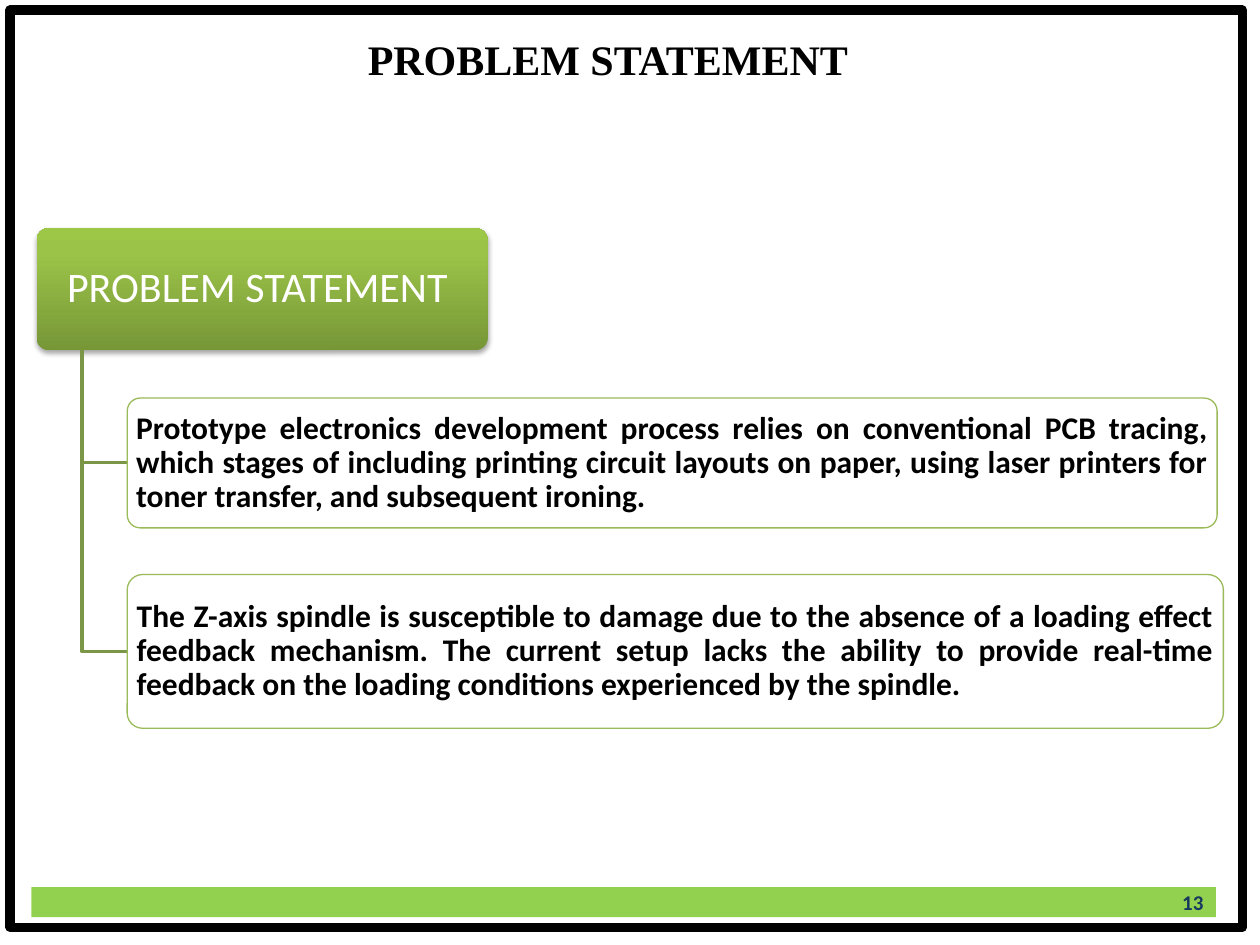
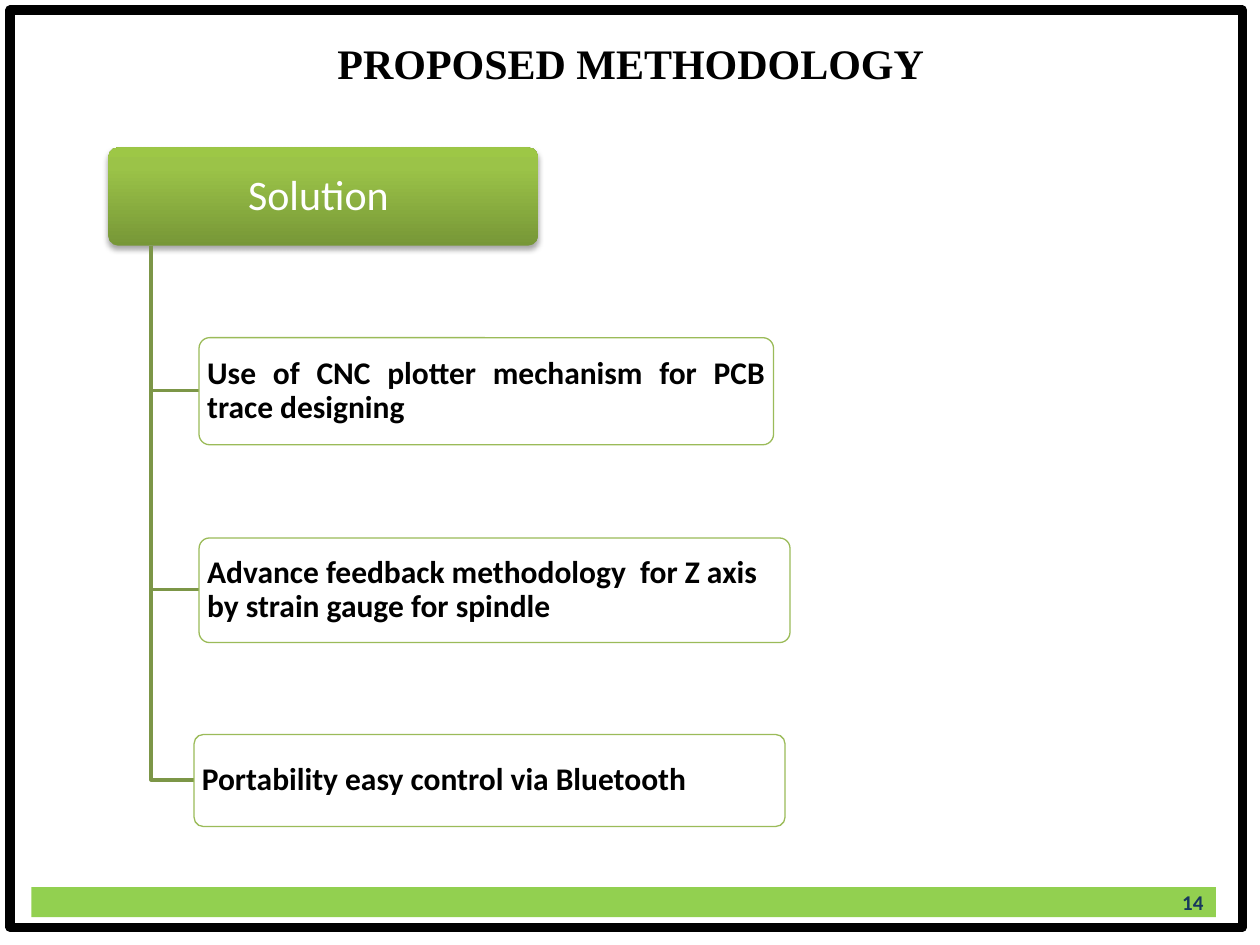
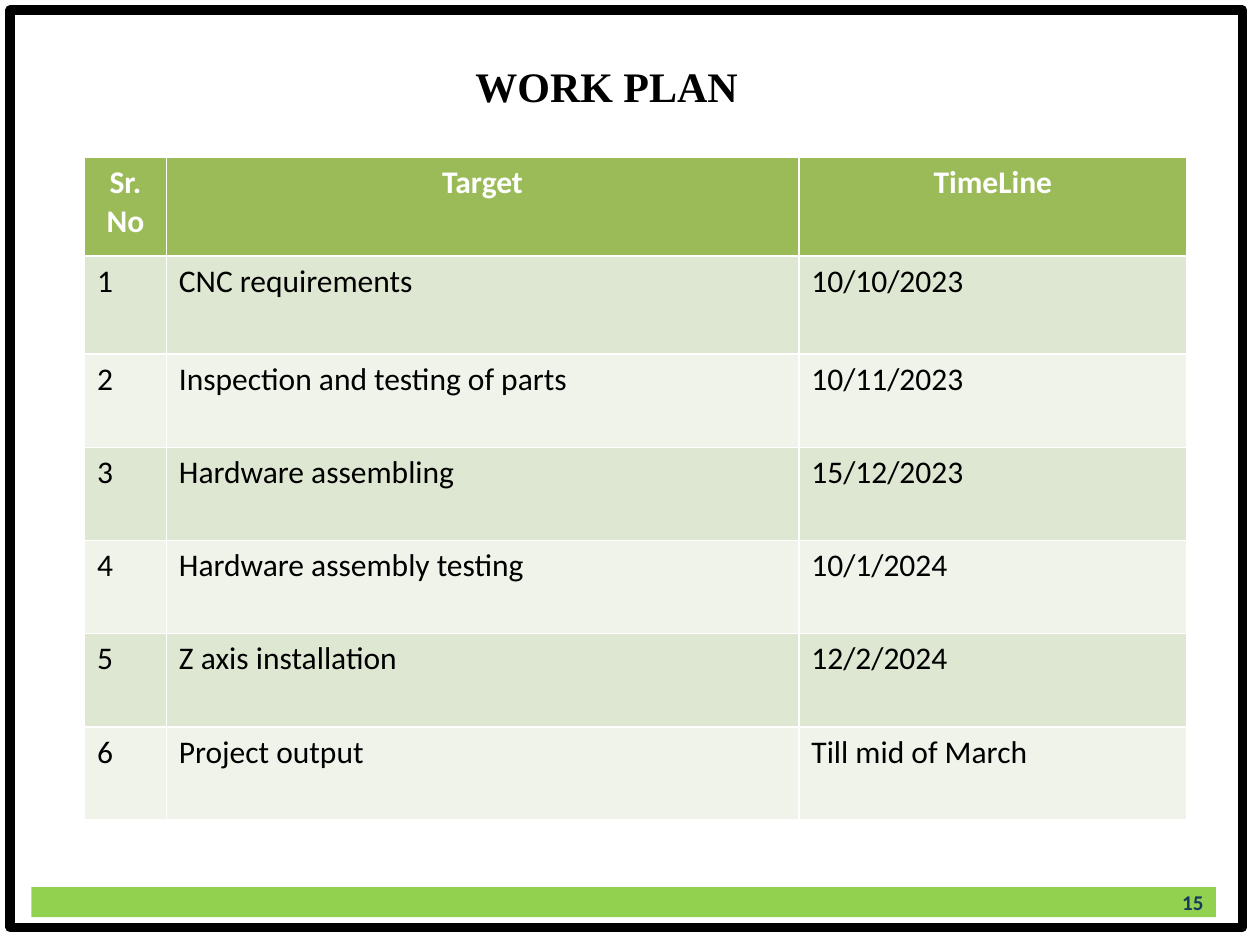
"""Build three project slides: problem statement, methodology and work plan."""
from copy import deepcopy
from dataclasses import dataclass

from lxml.etree import SubElement
from pptx import Presentation
from pptx.dml.color import RGBColor
from pptx.enum.shapes import MSO_SHAPE as Preset
from pptx.enum.text import MSO_ANCHOR as Anchor, PP_ALIGN as Align
from pptx.oxml.ns import qn
from pptx.util import Pt

EMU_PER_PX = 9144
FIRST_PAGE = 13


@dataclass(frozen=True)
class Theme:
    """Colours, fonts and type sizes of the slides."""
    black: str = "000000"
    white: str = "FFFFFF"
    band: str = "92D050"
    page_number: str = "17375E"
    accent: str = "9BBB59"
    branch: str = "7C9647"
    header_stops: tuple = ((0, "779737"), (0.8, "9BC348"), (1, "9DC746"))
    row_fills: tuple = ("DEE7D1", "EFF3EA")
    title_font: str = "Times New Roman"
    body_font: str = "Calibri"
    title_size: int = 24
    body_size: int = 18
    page_size: int = 12


THEME = Theme()

PROBLEMS = [
    ((101, 316, 865, 103), Align.JUSTIFY,
     "Prototype electronics development process relies on conventional PCB tracing, "
     "which stages of including printing circuit layouts on paper, using laser printers "
     "for toner transfer, and subsequent ironing."),
    ((101, 456, 870, 122), Align.JUSTIFY,
     "The Z-axis spindle is susceptible to damage due to the absence of a loading effect "
     "feedback mechanism. The current setup lacks the ability to provide real-time "
     "feedback on the loading conditions experienced by the spindle."),
]
SOLUTIONS = [
    ((158, 268, 456, 85), Align.JUSTIFY,
     "Use of CNC plotter mechanism for PCB trace designing"),
    ((158, 427, 469, 83), Align.LEFT,
     "Advance feedback methodology  for Z axis by strain gauge for spindle"),
    ((154, 583, 469, 73), Align.JUSTIFY, "Portability easy control via Bluetooth"),
]
WORK_PLAN = [
    ("Sr. No", "Target", "TimeLine"),
    ("1", "CNC requirements", "10/10/2023"),
    ("2", "Inspection and testing of parts", "10/11/2023"),
    ("3", "Hardware assembling", "15/12/2023"),
    ("4", "Hardware assembly testing", "10/1/2024"),
    ("5", "Z axis installation", "12/2/2024"),
    ("6", "Project output", "Till mid of March"),
]
COLUMN_WIDTHS = (65, 502, 308)
ROW_HEIGHTS = (78, 78, 74, 74, 74, 74, 74)


def px(*lengths):
    """Turn px lengths into EMU."""
    return [length * EMU_PER_PX for length in lengths]


def rgb(colour):
    """Turn a hex string into a colour."""
    return RGBColor.from_string(colour)


def apply_format(target, values):
    """Set every attribute named in the values."""
    for name, value in values.items():
        setattr(target, name, value)


def write_text(frame, text, size, colour, font=THEME.body_font, bold=True,
               align=Align.LEFT, spacing=1.0):
    """Write one formatted paragraph into a text frame."""
    frame.word_wrap = True
    paragraph = frame.paragraphs[0]
    apply_format(paragraph, {"alignment": align, "line_spacing": spacing})
    run = paragraph.add_run()
    run.text = text
    apply_format(run.font, {"name": font, "size": Pt(size), "bold": bold})
    run.font.color.rgb = rgb(colour)


def set_line(shape, colour, width):
    """Give a shape a solid outline."""
    shape.line.color.rgb = rgb(colour)
    shape.line.width = Pt(width)


def add_block(slide, box, preset=Preset.RECTANGLE):
    """Add a plain shape without fill, line or shadow."""
    shape = slide.shapes.add_shape(preset, *px(*box))
    shape.shadow.inherit = False
    shape.fill.background()
    shape.line.fill.background()
    return shape


def add_rounded_block(slide, box, side_inset):
    """Add a slightly rounded shape with tight text margins."""
    shape = add_block(slide, box, Preset.ROUNDED_RECTANGLE)
    shape.adjustments[0] = 0.1
    side, edge = px(side_inset, 3)
    apply_format(shape.text_frame, {
        "margin_left": side, "margin_right": side, "margin_top": edge,
        "margin_bottom": edge, "vertical_anchor": Anchor.MIDDLE})
    return shape


def fill_gradient(shape, stops):
    """Fill a shape with a vertical three-stop gradient."""
    shape.fill.gradient()
    shape.fill.gradient_angle = 90
    stop_list = shape.element.spPr.find(".//" + qn("a:gsLst"))
    stop_list.insert(1, deepcopy(stop_list[0]))
    for stop, (position, colour) in zip(shape.fill.gradient_stops, stops):
        stop.position = position
        stop.color.rgb = rgb(colour)


def add_alpha(colour_element, percent):
    """Set the opacity of a colour element."""
    SubElement(colour_element, qn("a:alpha"), val=str(percent * 1000))


def drop_shadow(shape):
    """Add a soft shadow below a shape."""
    effects = shape.element.spPr.find(qn("a:effectLst"))
    shadow = SubElement(effects, qn("a:outerShdw"), blurRad=str(Pt(3.1)),
                        dist=str(Pt(1.8)), dir="5400000", rotWithShape="0")
    add_alpha(SubElement(shadow, qn("a:srgbClr"), val=THEME.black), 35)


def add_header(slide, box, text):
    """Add the gradient block at the head of a tree."""
    shape = add_rounded_block(slide, box, 5)
    fill_gradient(shape, THEME.header_stops)
    drop_shadow(shape)
    write_text(shape.text_frame, text, THEME.title_size, THEME.white,
               bold=False, align=Align.CENTER, spacing=0.9)


def add_branch(slide, start, end):
    """Add an elbow line that runs down and then right."""
    builder = slide.shapes.build_freeform(*start, scale=EMU_PER_PX)
    builder.add_line_segments([(start[0], end[1]), end], close=False)
    branch = builder.convert_to_shape()
    branch.shadow.inherit = False
    branch.fill.background()
    set_line(branch, THEME.branch, 2)


def add_item(slide, box, align, text):
    """Add an outlined item of a tree."""
    shape = add_rounded_block(slide, box, 4)
    shape.fill.solid()
    shape.fill.fore_color.rgb = rgb(THEME.white)
    add_alpha(shape.element.spPr.find(qn("a:solidFill"))[0], 90)
    set_line(shape, THEME.accent, 0.75)
    write_text(shape.text_frame, text, THEME.body_size, THEME.black,
               align=align, spacing=0.9)


def add_tree(slide, header_box, header, items):
    """Add a header with its items hanging from a trunk."""
    add_header(slide, header_box, header)
    left, top, width, height = header_box
    trunk = (left + round(width / 10), top + height)
    for box, align, text in items:
        add_branch(slide, trunk, (box[0], box[1] + box[3] // 2))
        add_item(slide, box, align, text)


def add_work_table(slide, box, rows):
    """Add the table with a header row and banded rows."""
    table = slide.shapes.add_table(len(rows), len(rows[0]), *px(*box)).table
    for column, width in zip(table.columns, px(*COLUMN_WIDTHS)):
        column.width = width
    for row, height in zip(table.rows, px(*ROW_HEIGHTS)):
        row.height = height
    for index, values in enumerate(rows):
        is_head = index == 0
        fill = THEME.accent if is_head else THEME.row_fills[(index - 1) % 2]
        colour = THEME.white if is_head else THEME.black
        align = Align.CENTER if is_head else Align.LEFT
        for cell, value in zip(table.rows[index].cells, values):
            cell.fill.solid()
            cell.fill.fore_color.rgb = rgb(fill)
            write_text(cell.text_frame, value, THEME.body_size, colour,
                       bold=is_head, align=align)


def add_page(presentation, title, title_box, title_align=Align.CENTER):
    """Add a slide with its band, frame, page number and title."""
    slide = presentation.slides.add_slide(presentation.slide_layouts[6])
    band = add_block(slide, (25, 704, 940, 24))
    band.fill.solid()
    band.fill.fore_color.rgb = rgb(THEME.band)
    set_line(add_block(slide, (8, 8, 978, 728)), THEME.black, 5.25)
    number = slide.shapes.add_textbox(*px(732, 696, 233, 40)).text_frame
    number.vertical_anchor = Anchor.MIDDLE
    page = FIRST_PAGE + len(presentation.slides) - 1
    write_text(number, str(page), THEME.page_size, THEME.page_number, align=Align.RIGHT)
    heading = slide.shapes.add_textbox(*px(*title_box)).text_frame
    write_text(heading, title, THEME.title_size, THEME.black,
               font=THEME.title_font, align=title_align)
    return slide


def main():
    """Build and save the presentation."""
    presentation = Presentation()
    width, height = px(1000, 750)
    apply_format(presentation, {"slide_width": width, "slide_height": height})

    problem = add_page(presentation, "PROBLEM STATEMENT", (280, 22, 405, 50))
    add_tree(problem, (29, 181, 358, 97), "PROBLEM STATEMENT ", PROBLEMS)

    method = add_page(presentation, "PROPOSED METHODOLOGY", (258, 25, 500, 50), Align.LEFT)
    add_tree(method, (86, 117, 341, 78), "Solution ", SOLUTIONS)

    plan = add_page(presentation, "WORK PLAN", (366, 43, 231, 50))
    add_work_table(plan, (67, 125, 875, 526), WORK_PLAN)

    presentation.save("out.pptx")


if __name__ == "__main__":
    main()
